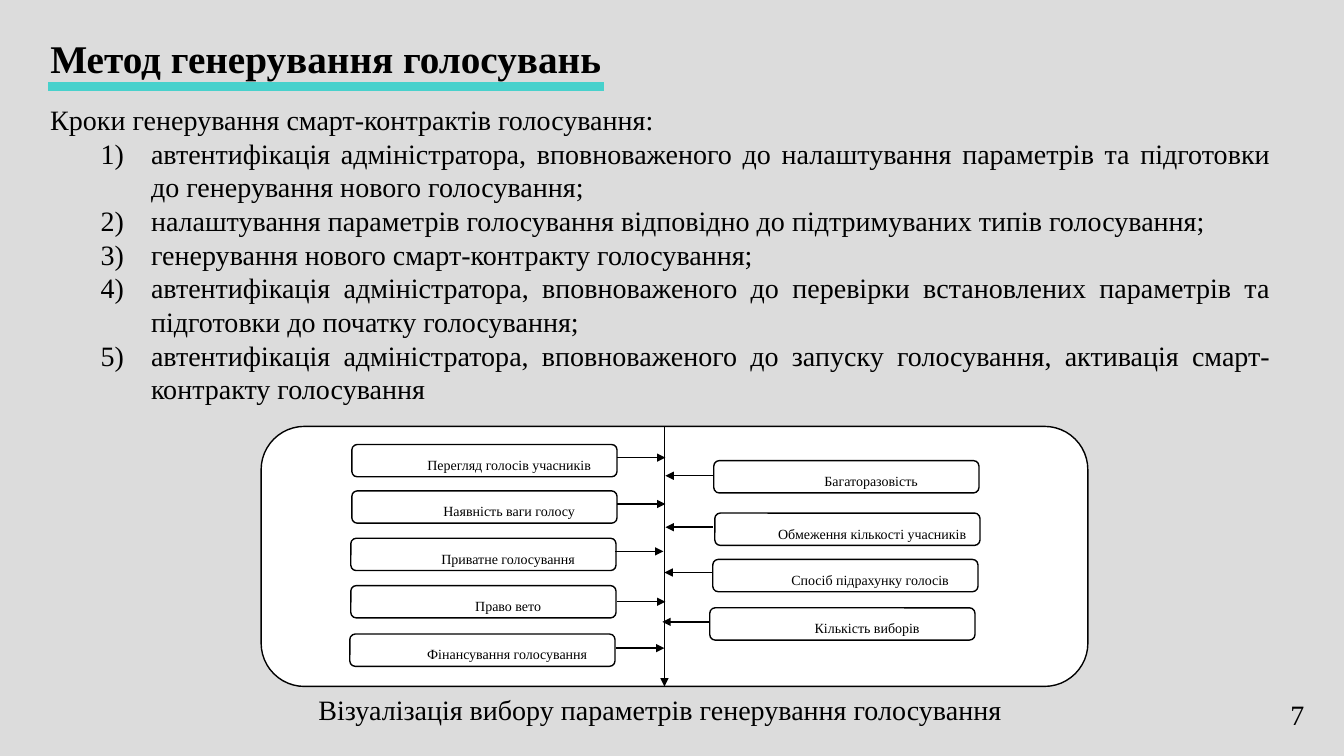
import pptx
import pptx.util
import pptx.dml.color
import pptx.enum.shapes
import pptx.enum.text
import pptx.oxml.ns
import lxml.etree
import dataclasses

SHAPE = pptx.enum.shapes.MSO_SHAPE
ALIGN = pptx.enum.text.PP_ALIGN
ANCHOR = pptx.enum.text.MSO_ANCHOR


@dataclasses.dataclass
class Theme:
    font: str = "Times New Roman"
    back: str = "DCDCDC"
    ink: str = "000000"
    fill: str = "FFFFFF"
    accent: str = "48D1CC"
    title: int = 28
    body: int = 20
    small: int = 10


def px(n):
    return pptx.util.Emu(n * 9144)


def rgb(code):
    return pptx.dml.color.RGBColor.from_string(code)


def child(node, tag, **attrs):
    return lxml.etree.SubElement(node, pptx.oxml.ns.qn(tag), attrs)


class Painter:
    def __init__(self, slide, theme):
        self.slide = slide
        self.theme = theme
        fill = slide.background.fill
        fill.solid()
        fill.fore_color.rgb = rgb(theme.back)

    def style(self, par, size, align, bold=False):
        par.alignment = align
        for run in par.runs:
            run.font.name = self.theme.font
            run.font.size = pptx.util.Pt(size)
            run.font.bold = bold
            run.font.color.rgb = rgb(self.theme.ink)

    def text(self, x, y, w, h, words, size, align=ALIGN.JUSTIFY, bold=False):
        box = self.slide.shapes.add_textbox(px(x), px(y), px(w), px(h))
        frame = box.text_frame
        frame.word_wrap = True
        frame.text = words
        for par in frame.paragraphs:
            self.style(par, size, align, bold)
        return frame

    def steps(self, pars):
        for par in pars:
            par.level = 1
            props = par._p.get_or_add_pPr()
            props.set("marL", str(px(100)))
            props.set("indent", str(px(-50)))
            child(props, "a:buFont", typeface="+mj-lt")
            child(props, "a:buAutoNum", type="arabicParenR")

    def box(self, x, y, w, h, words=""):
        shape = self.slide.shapes.add_shape(
            SHAPE.ROUNDED_RECTANGLE, px(x), px(y), px(w), px(h))
        shape.shadow.inherit = False
        shape.fill.solid()
        shape.fill.fore_color.rgb = rgb(self.theme.fill)
        shape.line.color.rgb = rgb(self.theme.ink)
        shape.line.width = pptx.util.Pt(1)
        if words:
            frame = shape.text_frame
            frame.word_wrap = True
            frame.vertical_anchor = ANCHOR.MIDDLE
            frame.text = words
            par = frame.paragraphs[0]
            self.style(par, self.theme.small, ALIGN.CENTER)
            par.line_spacing = 1.5
            par._p.get_or_add_pPr().set("indent", str(px(49)))

    def line(self, x1, y1, x2, y2, color, width):
        line = self.slide.shapes.add_connector(
            pptx.enum.shapes.MSO_CONNECTOR.STRAIGHT,
            px(x1), px(y1), px(x2), px(y2))
        line.line.color.rgb = rgb(color)
        line.line.width = pptx.util.Pt(width)
        child(line._element.spPr, "a:effectLst")
        return line

    def arrow(self, x1, y1, x2, y2):
        line = self.line(x1, y1, x2, y2, self.theme.ink, 1)
        child(line.line._get_or_add_ln(), "a:tailEnd", type="triangle")


STEPS = [
    "Кроки генерування смарт-контрактів голосування:",
    "автентифікація адміністратора, вповноваженого до налаштування параметрів та підготовки до генерування нового голосування;",
    "налаштування параметрів голосування відповідно до підтримуваних типів голосування;",
    "генерування нового смарт-контракту голосування;",
    "автентифікація адміністратора, вповноваженого до перевірки встановлених параметрів та підготовки до початку голосування;",
    "автентифікація адміністратора, вповноваженого до запуску голосування, активація смарт-контракту голосування",
]

OPTIONS = [
    (349, 441, "Перегляд голосів учасників", 612, 454, 48),
    (349, 487, "Наявність ваги голосу", 612, 500, 48),
    (348, 534, "Приватне голосування", 610, 547, 48),
    (348, 581, "Право вето", 612, 597, 48),
    (347, 629, "Фінансування голосування", 611, 643, 48),
    (708, 457, "Багаторазовість", 707, 472, -47),
    (709, 509, "Обмеження кількості учасників", 707, 523, -47),
    (707, 555, "Спосіб підрахунку голосів", 706, 568, -47),
    (704, 603, "Кількість виборів", 704, 617, -47),
]


def main():
    deck = pptx.Presentation()
    deck.slide_width = pptx.util.Inches(13.33)
    deck.slide_height = pptx.util.Inches(7.5)
    theme = Theme()
    art = Painter(deck.slides.add_slide(deck.slide_layouts[6]), theme)

    art.line(48, 86, 599, 86, theme.accent, 6)
    title = art.text(40, 32, 572, 54, "Метод генерування голосувань",
                     theme.title, ALIGN.LEFT, True)
    title.vertical_anchor = ANCHOR.BOTTOM
    title.paragraphs[0].line_spacing = 0.9
    body = art.text(40, 97, 1230, 313, "\n".join(STEPS), theme.body)
    art.steps(body.paragraphs[1:])
    art.text(1270, 687, 42, 44, "7", theme.body)

    art.box(259, 423, 820, 258)
    art.arrow(659, 424, 659, 681)
    for x, y, words, start, level, reach in OPTIONS:
        art.box(x, y, 263, 32, words)
        art.arrow(start, level, start + reach, level)
    art.text(306, 682, 698, 44,
             "Візуалізація вибору параметрів генерування голосування",
             theme.body)
    deck.save("out.pptx")


if __name__ == "__main__":
    main()
